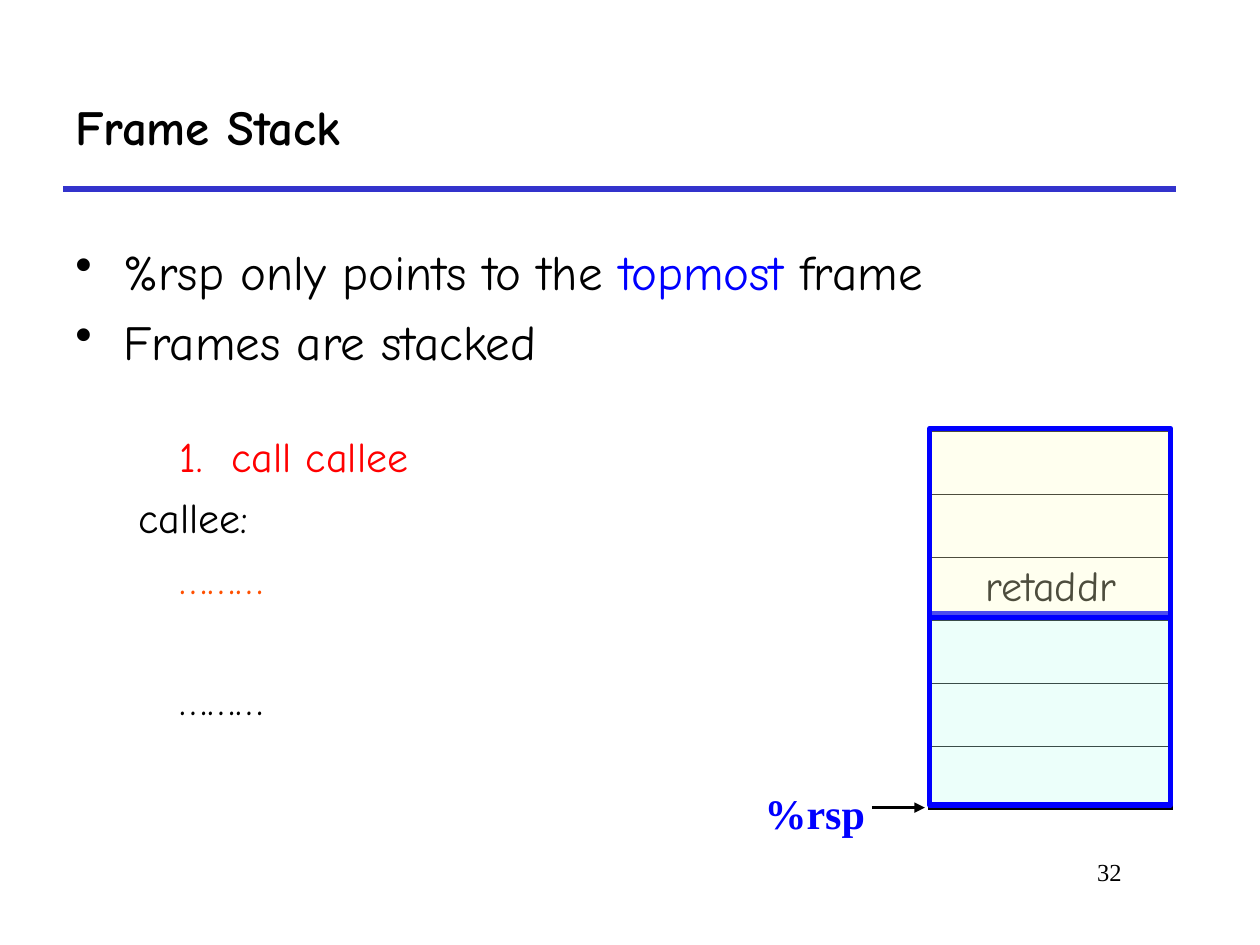
from pptx import Presentation
from pptx.dml.color import RGBColor
from pptx.enum.shapes import MSO_CONNECTOR, MSO_SHAPE
from pptx.enum.text import MSO_ANCHOR, PP_ALIGN
from pptx.oxml.ns import qn
from pptx.util import Inches, Pt
from lxml import etree

LINE = MSO_CONNECTOR.STRAIGHT
RECT = MSO_SHAPE.RECTANGLE
MIDDLE, TOP = MSO_ANCHOR.MIDDLE, MSO_ANCHOR.TOP
LEFT, CENTER, RIGHT = PP_ALIGN.LEFT, PP_ALIGN.CENTER, PP_ALIGN.RIGHT

BLACK = RGBColor(0x00, 0x00, 0x00)
WHITE = RGBColor(0xFF, 0xFF, 0xFF)
BLUE = RGBColor(0x00, 0x00, 0xFF)
RULE_BLUE = RGBColor(0x33, 0x33, 0xCC)
RED = RGBColor(0xFF, 0x00, 0x00)
ORANGE = RGBColor(0xFF, 0x50, 0x00)
CALLER_MINT = RGBColor(0xC2, 0xFF, 0xF0)
CALLEE_CREAM = RGBColor(0xFF, 0xFF, 0xCC)

COMIC, TIMES = "Comic Neue", "Times New Roman"
COLUMNS, ROWS = 100, 75
WIDTH, HEIGHT = Inches(10), Inches(7.5)
STACK_LEFT, STACK_TOP, STACK_WIDTH = 73.8, 34.2, 19.2
SLOTS, SLOT_ROWS = 6, 5


def col(count):
    """Return the length of a number of grid columns."""
    return round(WIDTH * count / COLUMNS)


def row(count):
    """Return the length of a number of grid rows."""
    return round(HEIGHT * count / ROWS)


def area(left, top, width, height):
    """Return a grid area as slide lengths."""
    return col(left), row(top), col(width), row(height)


def apply(target, values):
    """Set each attribute named in a dict of format values."""
    for name, value in values.items():
        setattr(target, name, value)


def write(paragraph, runs, font, align=LEFT, before=0):
    """Write coloured runs in one font into a paragraph."""
    apply(paragraph, {"alignment": align, "space_before": Pt(before)})
    for text, color in runs:
        run = paragraph.add_run()
        run.text = text
        apply(run.font, font)
        run.font.color.rgb = color


def indent(paragraph, margin, hanging=0, bullet=None):
    """Indent a paragraph by grid columns, with an optional bullet."""
    properties = paragraph._p.get_or_add_pPr()
    properties.set("marL", str(col(margin)))
    properties.set("indent", str(-col(hanging)))
    if bullet:
        etree.SubElement(properties, qn("a:buChar")).set("char", bullet)


def add_text(slide, place, lines, font, align=LEFT, anchor=TOP, inset=0.5, wrap=True):
    """Add a text box of (runs, indent values, space before) lines."""
    frame = slide.shapes.add_textbox(*area(*place)).text_frame
    apply(frame, {"word_wrap": wrap, "vertical_anchor": anchor, "margin_top": row(inset)})
    for index, (runs, indents, before) in enumerate(lines):
        paragraph = frame.add_paragraph() if index else frame.paragraphs[0]
        indent(paragraph, **indents)
        write(paragraph, runs, font, align, before)


def add_line(slide, start, end, color, weight, arrow=False):
    """Add a straight line between two grid points."""
    line = slide.shapes.add_connector(
        LINE, col(start[0]), row(start[1]), col(end[0]), row(end[1]))
    line.line.color.rgb = color
    line.line.width = Pt(weight)
    if arrow:
        etree.SubElement(line.line._get_or_add_ln(), qn("a:tailEnd")).set("type", "triangle")
    etree.SubElement(line._element.spPr, qn("a:effectLst"))


def add_frame(slide, place, color):
    """Add a translucent stack frame over the slots."""
    frame = slide.shapes.add_shape(RECT, *area(*place))
    frame.shadow.inherit = False
    frame.fill.solid()
    frame.fill.fore_color.rgb = color
    frame.line.color.rgb = BLUE
    frame.line.width = Pt(3)
    tint = frame._element.spPr.find(qn("a:solidFill"))[0]
    etree.SubElement(tint, qn("a:alpha")).set("val", "30000")


def set_borders(cell, weights):
    """Draw black cell borders from a dict of side weights."""
    properties = cell._tc.get_or_add_tcPr()
    for position, (side, weight) in enumerate(weights.items()):
        border = etree.Element(qn(f"a:ln{side}"), w=str(Pt(weight)))
        fill = etree.SubElement(border, qn("a:solidFill"))
        etree.SubElement(fill, qn("a:srgbClr")).set("val", str(BLACK))
        properties.insert(position, border)


def add_slots(slide, labels):
    """Add the stack as a one-column table with labels by slot."""
    place = area(STACK_LEFT, STACK_TOP, STACK_WIDTH, SLOTS * SLOT_ROWS)
    table = slide.shapes.add_table(SLOTS, 1, *place).table
    apply(table, {"first_row": False, "horz_banding": False})
    for slot in range(SLOTS):
        cell = table.cell(slot, 0)
        cell.fill.solid()
        cell.fill.fore_color.rgb = WHITE
        set_borders(cell, {
            "L": 2.25, "R": 2.25,
            "T": 0.5 if slot else 1,
            "B": 0.5 if slot < SLOTS - 1 else 1,
        })
        if slot in labels:
            write(cell.text_frame.paragraphs[0], [(labels[slot], BLACK)],
                  {"name": COMIC, "size": Pt(24)}, CENTER)


def main():
    """Build and save the slide."""
    deck = Presentation()
    apply(deck, {"slide_width": WIDTH, "slide_height": HEIGHT})
    slide = deck.slides.add_slide(deck.slide_layouts[6])
    flush = {"margin": 0}
    point = {"margin": 3.8, "hanging": 3.8, "bullet": "•"}
    label, body = {"margin": 5}, {"margin": 8.3}
    numbered = {"margin": 12.4, "hanging": 4.1}

    add_line(slide, (5, 15), (93.3, 15), RULE_BLUE, 3)
    add_slots(slide, {2: "retaddr"})
    add_frame(slide, (STACK_LEFT, 48.7, 19.1, 15.2), CALLER_MINT)
    add_text(slide, (75.8, 67.5, 14.2, 5), [([("32", BLACK)], flush, 0)],
             {"name": TIMES, "size": Pt(14)}, RIGHT)
    add_text(slide, (5, 5, 88.3, 10), [([("Frame Stack", BLACK)], flush, 0)],
             {"name": COMIC, "size": Pt(28), "bold": True}, anchor=MIDDLE)
    add_text(slide, (5, 18.3, 83.3, 11.7), [
        ([("%rsp only points to the ", BLACK), ("topmost ", BLUE), ("frame", BLACK)], point, 0),
        ([("Frames are stacked", BLACK)], point, 6),
    ], {"name": COMIC, "size": Pt(28)}, inset=0.9)
    add_text(slide, (59.7, 61.6, 10.1, 5.1), [([("%rsp", BLUE)], flush, 0)],
             {"name": TIMES, "size": Pt(24), "bold": True}, inset=0.9, wrap=False)
    add_line(slide, (69.2, 64.1), (73.4, 64.1), BLACK, 1.5, arrow=True)
    add_text(slide, (5, 33.3, 50, 29.3), [
        ([("1.\tcall callee", RED)], numbered, 0),
        ([("callee:", BLACK)], label, 6),
        ([("………", ORANGE)], body, 6),
        ([("………", BLACK)], body, 40),
    ], {"name": COMIC, "size": Pt(24)}, inset=0.9)
    add_frame(slide, (STACK_LEFT, 34, 19.1, 15), CALLEE_CREAM)
    deck.save("out.pptx")


if __name__ == "__main__":
    main()
